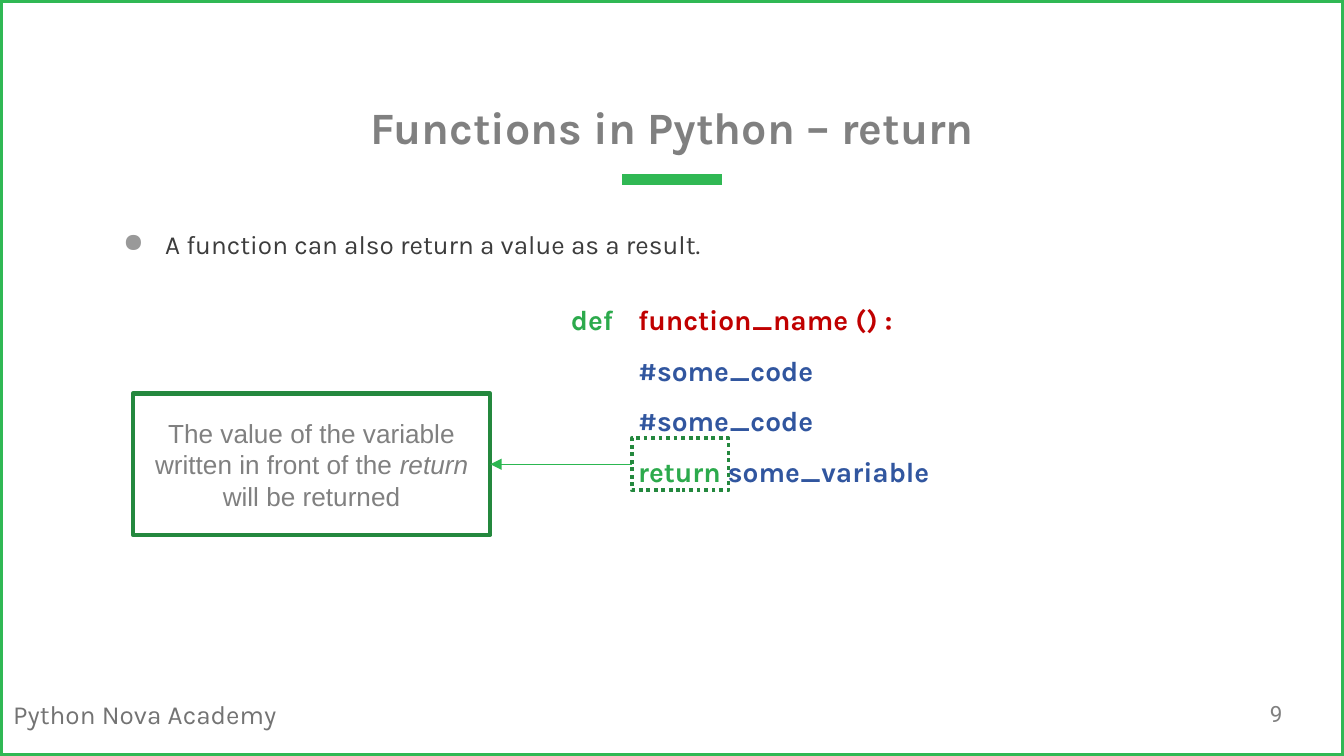
"""Build the slide that explains return in Python functions."""
from lxml.etree import SubElement as Sub
from pptx import Presentation as Deck
from pptx.dml.color import RGBColor as Rgb
from pptx.enum.dml import MSO_LINE as Dash
from pptx.enum.shapes import MSO_CONNECTOR as Link, MSO_SHAPE as Kind
from pptx.enum.text import MSO_ANCHOR as Anchor, PP_ALIGN as Align
from pptx.oxml.ns import qn
from pptx.util import Cm, Pt

THEME = {
    "frame": "30B854", "arrow": "2CB751", "edge": "24883E",
    "gray": "808080", "foot": "737373", "body": "3C3C3C", "dot": "999999",
    "key": "2CAA4C", "name": "C00000", "code": "31569F",
    "main": "Karla", "plain": "Arial", "digit": "Roboto",
    "title": 24, "mid": 15, "text": 14, "page": 12,
}
WIDE, HIGH = 25.4, 14.29
PAD = 0.25
STEP = 1.27
TITLE = "Functions in Python – return"
POINT = "A function can also return a value as a result."
BRAND = "Python Nova Academy"
PAGE = "9"
CODE = [
    (0, [("def\t", "key"), ("function_name () :", "name")]),
    (1, [("#some_code", "code")]),
    (1, [("#some_code", "code")]),
    (1, [("return", "key"), (" some_variable", "code")]),
]
NOTE = [
    ("The value of the variable written in front of the ", False),
    ("return", True),
    (" will be returned", False),
]


def color(key):
    return Rgb.from_string(THEME[key])


def style(run, size, tint, face="main", bold=False, slant=False):
    font = run.font
    font.name, font.size = THEME[face], Pt(THEME[size])
    font.color.rgb = color(tint)
    font.bold, font.italic = bold, slant


def setup(shape, anchor=Anchor.TOP, pad=PAD):
    frame = shape.text_frame
    frame.word_wrap = True
    frame.vertical_anchor = anchor
    frame.margin_left = frame.margin_right = Cm(PAD)
    frame.margin_top = frame.margin_bottom = Cm(pad)
    return frame


def label(slide, place, text, size, tint, anchor=Anchor.TOP, pad=PAD, face="main"):
    frame = setup(slide.shapes.add_textbox(*map(Cm, place)), anchor, pad)
    frame.text = text
    para = frame.paragraphs[0]
    style(para.runs[0], size, tint, face)
    return para


def box(slide, place, tint, width):
    shape = slide.shapes.add_shape(Kind.RECTANGLE, *map(Cm, place))
    shape.shadow.inherit = False
    shape.fill.background()
    shape.line.color.rgb = color(tint)
    shape.line.width = Pt(width)
    return shape


def line(slide, ends, tint, width):
    link = slide.shapes.add_connector(Link.STRAIGHT, *map(Cm, ends))
    link.line.color.rgb = color(tint)
    link.line.width = Pt(width)
    Sub(link._element.spPr, qn("a:effectLst"))
    return link


def head(slide):
    title = slide.shapes.title
    title.left, title.top, title.width, title.height = map(Cm, (0, 0.61, WIDE, 2.54))
    frame = setup(title, Anchor.BOTTOM)
    frame.text = TITLE
    para = frame.paragraphs[0]
    para.alignment = Align.CENTER
    style(para.runs[0], "title", "gray", bold=True)
    half = 0.94
    line(slide, (WIDE / 2 - half, 3.4, WIDE / 2 + half, 3.4), "frame", 6)


def bullet(slide):
    para = label(slide, (2.08, 3.78, 21.82, 8.99), POINT, "text", "body")
    para.line_spacing = 1.5
    props = para._p.get_or_add_pPr()
    props.set("marL", str(Cm(0.79)))
    props.set("indent", str(-Cm(0.79)))
    Sub(Sub(props, qn("a:buClr")), qn("a:srgbClr"), val=THEME["dot"])
    Sub(props, qn("a:buChar"), char="●")


def code(slide):
    frame = setup(slide.shapes.add_textbox(*map(Cm, (10.54, 5.16, 10.64, 9))))
    for row, (level, parts) in enumerate(CODE):
        para = frame.add_paragraph() if row else frame.paragraphs[0]
        para.level, para.line_spacing = level, 1.5
        props = para._p.get_or_add_pPr()
        props.set("marL", str(Cm(level * STEP)))
        props.set("indent", "0")
        if not level:
            Sub(Sub(props, qn("a:tabLst")), qn("a:tab"), pos=str(Cm(1.08)), algn="l")
        for text, tint in parts:
            run = para.add_run()
            run.text = text
            style(run, "mid", tint, bold=True)


def note(slide):
    mark = box(slide, (11.94, 8.28, 1.83, 0.99), "edge", 2)
    mark.line.dash_style = Dash.ROUND_DOT
    card = box(slide, (2.51, 7.44, 6.76, 2.67), "edge", 2.25)
    para = setup(card, Anchor.MIDDLE, PAD / 2).paragraphs[0]
    para.alignment = Align.CENTER
    for text, slant in NOTE:
        run = para.add_run()
        run.text = text
        style(run, "text", "gray", "plain", slant=slant)
    arrow = line(slide, (0, 0, 1, 1), "arrow", 0.75)
    arrow.begin_connect(mark, 1)
    arrow.end_connect(card, 3)
    Sub(arrow.line._get_or_add_ln(), qn("a:tailEnd"), type="triangle")


def main():
    deck = Deck()
    deck.slide_width, deck.slide_height = Cm(WIDE), Cm(HIGH)
    slide = deck.slides.add_slide(deck.slide_layouts[5])
    label(slide, (0, 13.08, 6.48, 0.86), BRAND, "text", "foot", pad=PAD / 2)
    box(slide, (0, 0, WIDE, HIGH), "frame", 3)
    head(slide)
    bullet(slide)
    label(slide, (23.75, 12.95, 1.52, 1.09), PAGE, "page", "gray", Anchor.MIDDLE, face="digit")
    code(slide)
    note(slide)
    deck.save("out.pptx")


if __name__ == "__main__":
    main()
